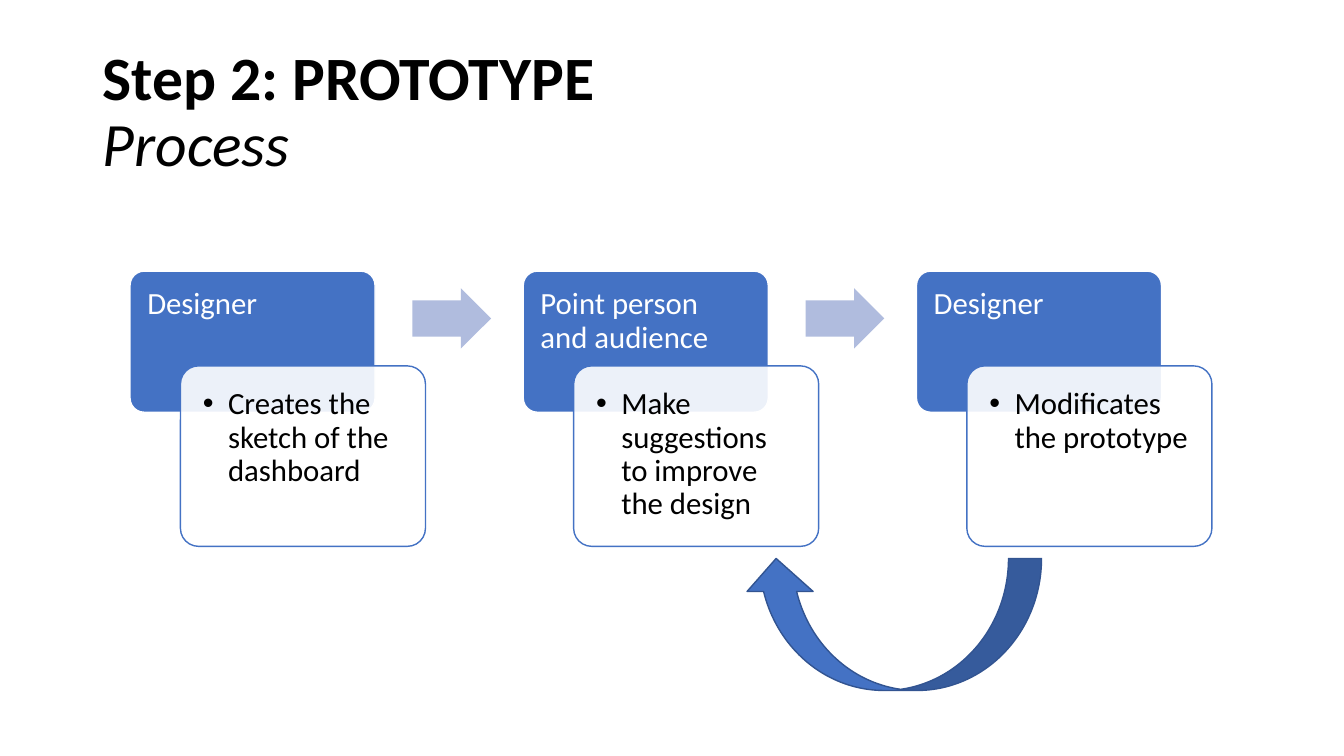
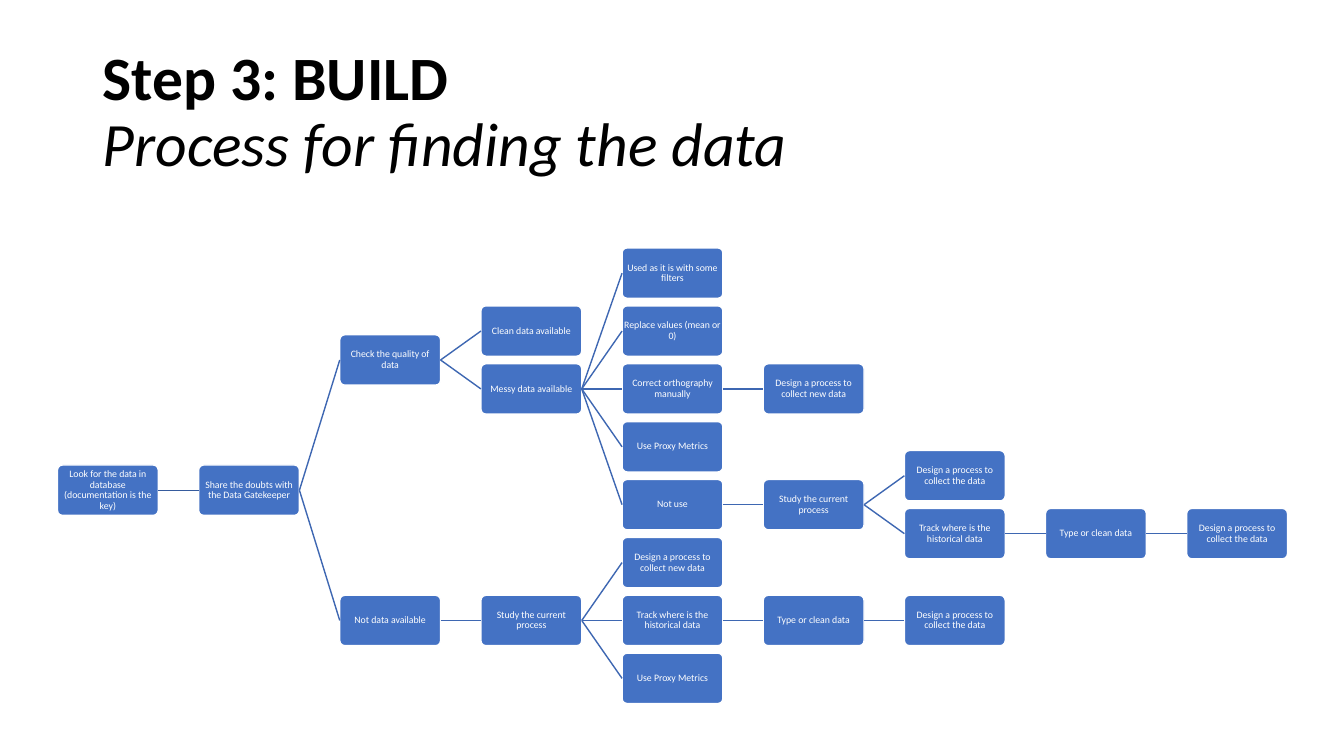
from lxml.etree import SubElement
from pptx import Presentation
from pptx.dml.color import RGBColor
from pptx.enum.shapes import MSO_CONNECTOR, MSO_SHAPE
from pptx.enum.text import MSO_ANCHOR, MSO_AUTO_SIZE, PP_ALIGN
from pptx.oxml.ns import qn
from pptx.util import Inches, Pt

FONT = "Calibri"
COLORS = {
    "black": "000000",
    "white": "FFFFFF",
    "blue": "4472C4",
    "pale_blue": "B0BCDE",
    "arrow_edge": "325491",
    "root_link": "365B9D",
    "link": "3E67B2",
}

PROCESS_STEPS = [
    ("Designer", "Creates the sketch of the dashboard"),
    ("Point person and audience", "Make suggestions to improve the design"),
    ("Designer", "Modificates the prototype"),
]
STEP_LEFT, STEP_PITCH = 1.29, 3.9

CLEANING = {"Type or clean data": {"Design a process to collect the data": {}}}
DATA_TREE = {
    "Check the quality of data": {
        "Clean data available": {},
        "Messy data available": {
            "Used as it is with some filters": {},
            "Replace values (mean or 0)": {},
            "Correct orthography manually": {"Design a process to collect new data": {}},
            "Use Proxy Metrics": {},
            "Not use": {
                "Study the current process": {
                    "Design a process to collect the data": {},
                    "Track where is the historical data": CLEANING,
                },
            },
        },
    },
    "Not data available": {
        "Study the current process": {
            "Design a process to collect new data": {},
            "Track where is the historical data": CLEANING,
            "Use Proxy Metrics": {},
        },
    },
}
TREE_ROOT = "Look for the data in database (documentation is the key)"
TREE = {"Share the doubts with the Data Gatekeeper": DATA_TREE}
TREE_LEFT, COLUMN_PITCH = 0.57, 1.4
TREE_TOP, ROW_PITCH = 2.46, 4.02 / 7
ROOT_ROW = 3.75
MAIN_BRANCH_COLUMN, MAIN_BRANCH_GAP = 2, 4.5


class Deck:
    """Holds the presentation, its style and the slide being drawn."""

    def __init__(self):
        self.presentation = Presentation()
        self.presentation.slide_width = Inches(13.33)
        self.presentation.slide_height = Inches(7.5)
        self.slide = None

    def color(self, name):
        return RGBColor.from_string(COLORS[name])

    def format_runs(self, paragraph, size, color):
        paragraph.line_spacing = 0.9
        for run in paragraph.runs:
            run.font.name = FONT
            run.font.size = Pt(size)
            run.font.color.rgb = self.color(color)

    def add_slide(self, heading, subtitle):
        self.slide = self.presentation.slides.add_slide(self.presentation.slide_layouts[5])
        title = self.slide.shapes.title
        title.left, title.top = Inches(0.92), Inches(0.4)
        title.width, title.height = Inches(11.5), Inches(1.45)
        text_frame = title.text_frame
        text_frame.auto_size = MSO_AUTO_SIZE.NONE
        text_frame.vertical_anchor = MSO_ANCHOR.MIDDLE
        paragraph = text_frame.paragraphs[0]
        paragraph.text = f"{heading}\n{subtitle}"
        paragraph.alignment = PP_ALIGN.LEFT
        self.format_runs(paragraph, 44, "black")
        heading_run, subtitle_run = paragraph.runs
        heading_run.font.bold = True
        subtitle_run.font.italic = True

    def shape(self, kind, left, top, width, height, fill, line=None):
        shape = self.slide.shapes.add_shape(
            kind, Inches(left), Inches(top), Inches(width), Inches(height)
        )
        shape.shadow.inherit = False
        shape.fill.solid()
        shape.fill.fore_color.rgb = self.color(fill)
        if line:
            shape.line.color.rgb = self.color(line)
            shape.line.width = Pt(1)
        else:
            shape.line.fill.background()
        return shape

    def box(self, left, top, width, height, fill="blue", line="white"):
        box = self.shape(MSO_SHAPE.ROUNDED_RECTANGLE, left, top, width, height, fill, line)
        box.adjustments[0] = 0.1
        return box

    def label(self, shape, text, size, color, inset=0, anchor=MSO_ANCHOR.TOP, align=PP_ALIGN.LEFT):
        text_frame = shape.text_frame
        text_frame.word_wrap = True
        text_frame.vertical_anchor = anchor
        text_frame.margin_left = text_frame.margin_right = Inches(inset)
        text_frame.margin_top = text_frame.margin_bottom = Inches(inset)
        text_frame.text = text
        paragraph = text_frame.paragraphs[0]
        paragraph.alignment = align
        self.format_runs(paragraph, size, color)
        return paragraph

    def bullet(self, paragraph):
        properties = paragraph._p.get_or_add_pPr()
        properties.set("marL", str(Inches(0.25)))
        properties.set("indent", str(-Inches(0.25)))
        SubElement(properties, qn("a:buFont"), typeface="Arial")
        SubElement(properties, qn("a:buChar"), char="•")

    def set_opacity(self, shape, percent):
        fill_color = shape.element.spPr.find(qn("a:solidFill"))[0]
        SubElement(fill_color, qn("a:alpha"), val=str(percent * 1000))

    def process_step(self, left, role, task):
        header = self.box(left, 2.69, 2.43, 1.4)
        self.label(header, role, 22, "white", inset=0.13)
        card = self.box(left + 0.5, 3.63, 2.43, 1.79, "white", "blue")
        self.set_opacity(card, 90)
        self.bullet(self.label(card, task, 22, "black", inset=0.17))

    def step_arrow(self, left):
        arrow = self.shape(MSO_SHAPE.RIGHT_ARROW, left, 2.86, 0.78, 0.6, "pale_blue")
        arrow.adjustments[0] = 0.6

    def link(self, parent, child, color):
        connector = self.slide.shapes.add_connector(MSO_CONNECTOR.STRAIGHT, 0, 0, 0, 0)
        connector.begin_connect(parent, 3)
        connector.end_connect(child, 1)
        connector.line.color.rgb = self.color(color)
        connector.line.width = Pt(1)
        SubElement(connector.element.spPr, qn("a:effectLst"))

    def tree(self, label, children, column=0, row=ROOT_ROW):
        """Draw a node and, centred on its row in the next column, its children."""
        node = self.box(
            TREE_LEFT + column * COLUMN_PITCH, TREE_TOP + row * ROW_PITCH, 1, 0.5
        )
        self.label(node, label, 7, "white", anchor=MSO_ANCHOR.MIDDLE, align=PP_ALIGN.CENTER)
        child_column = column + 1
        gap = MAIN_BRANCH_GAP if child_column == MAIN_BRANCH_COLUMN else 1
        first_row = row - gap * (len(children) - 1) / 2
        for index, (child_label, grandchildren) in enumerate(children.items()):
            child = self.tree(child_label, grandchildren, child_column, first_row + index * gap)
            self.link(node, child, "link" if column else "root_link")
        return node


def build_prototype_slide(deck):
    deck.add_slide("Step 2: PROTOTYPE", "Process")
    for index, (role, task) in enumerate(PROCESS_STEPS):
        left = STEP_LEFT + index * STEP_PITCH
        deck.process_step(left, role, task)
        if index < len(PROCESS_STEPS) - 1:
            deck.step_arrow(left + 2.8)
    return_arrow = deck.shape(
        MSO_SHAPE.CURVED_DOWN_ARROW, 7.37, 5.54, 2.96, 1.31, "blue", "arrow_edge"
    )
    return_arrow.rotation = 180


def build_data_slide(deck):
    deck.add_slide("Step 3: BUILD", "Process for finding the data")
    deck.tree(TREE_ROOT, TREE)


def main():
    deck = Deck()
    build_prototype_slide(deck)
    build_data_slide(deck)
    deck.presentation.save("out.pptx")


if __name__ == "__main__":
    main()
